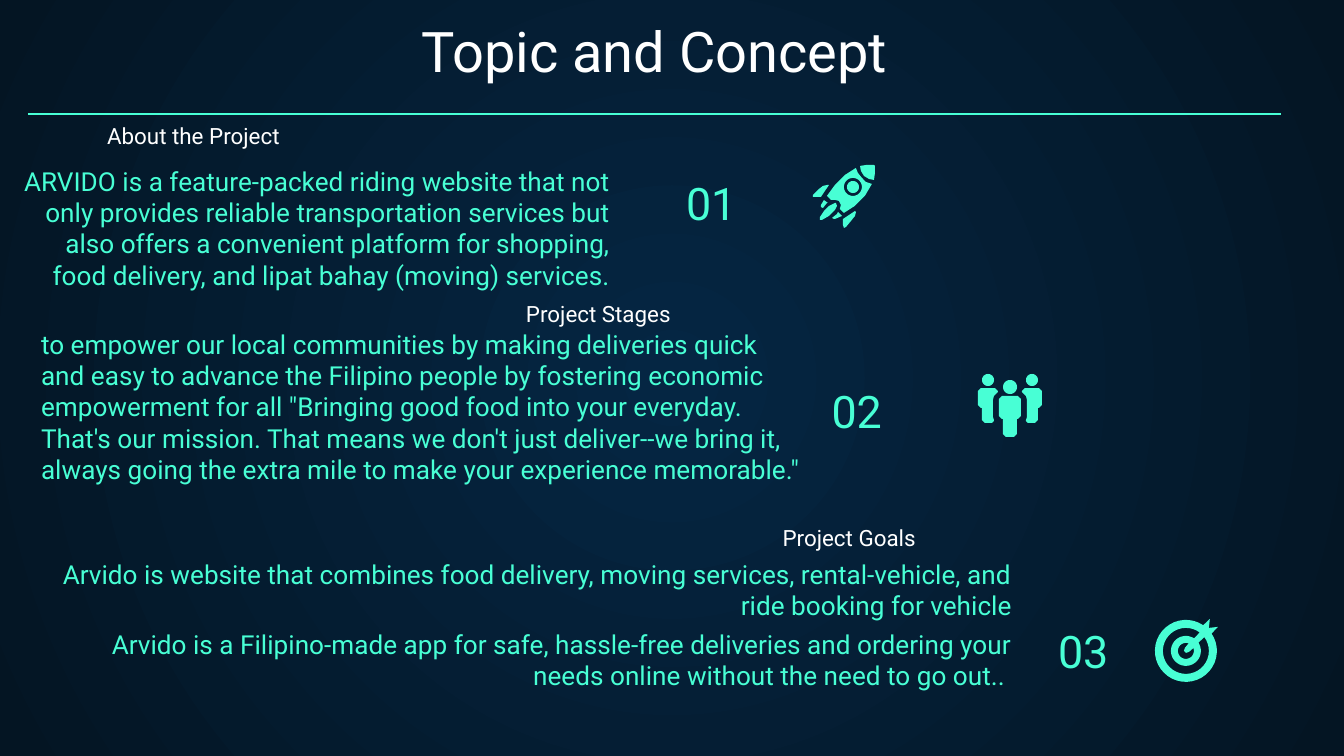
from math import cos, radians, sin

from lxml.etree import SubElement
from pptx import Presentation
from pptx.dml.color import RGBColor
from pptx.enum.shapes import MSO_CONNECTOR
from pptx.enum.text import MSO_ANCHOR, MSO_AUTO_SIZE, PP_ALIGN
from pptx.oxml.ns import qn
from pptx.util import Emu, Pt

PX = 914400 / 134.4  # EMU in one px
COLORS = {"center": "052643", "edge": "041523", "accent": "48FFD5", "white": "FFFFFF"}
FONT = "Roboto"
INSET = 13
ICON_SIZE = 64
LEFT, CENTER, RIGHT = PP_ALIGN.LEFT, PP_ALIGN.CENTER, PP_ALIGN.RIGHT


def px(value):
    return Emu(round(value * PX))


def color(name):
    return RGBColor.from_string(COLORS[name])


# Text
def write_text(shape, box, paragraphs, size, color_name, align,
               anchor=MSO_ANCHOR.BOTTOM, gap=0):
    shape.left, shape.top, shape.width, shape.height = map(px, box)
    frame = shape.text_frame
    frame.word_wrap = True
    frame.auto_size = MSO_AUTO_SIZE.NONE
    frame.vertical_anchor = anchor
    frame.margin_left = frame.margin_right = px(INSET)
    frame.margin_top = frame.margin_bottom = px(INSET)
    for index, text in enumerate(paragraphs):
        paragraph = frame.add_paragraph() if index else frame.paragraphs[0]
        paragraph.alignment = align
        paragraph.line_spacing = 1.0
        paragraph.space_before = Pt(gap if index else 0)
        properties = paragraph._p.get_or_add_pPr()
        properties.set("marL", "0")
        properties.set("indent", "0")
        SubElement(properties, qn("a:buNone"))
        run = paragraph.add_run()
        run.text = text
        run.font.name = FONT
        run.font.size = Pt(size)
        run.font.bold = False
        run.font.color.rgb = color(color_name)


def add_label(slide, box, text, size, color_name, align):
    shape = slide.shapes.add_textbox(0, 0, 0, 0)
    write_text(shape, box, [text], size, color_name, align)


# Icon outlines, in px from the top left corner of the icon
def arc(x, y, radius, start=0, end=360, steps=36):
    angles = [radians(start + (end - start) * step / steps) for step in range(steps + 1)]
    return [(x + radius * cos(angle), y + radius * sin(angle)) for angle in angles]


def mirror(points):
    return [(ICON_SIZE - x, y) for x, y in points]


def rocket_parts():
    nose = [(48, 1), (54, 0), (59, 0), (62, 0), (63, 1), (63, 8), (62, 15),
            (57, 14), (52, 11), (49, 6)]
    body = [(44, 3), (33, 10), (23, 20), (15, 31), (19, 35), (23, 35), (27, 36),
            (29, 40), (28, 44), (32, 48), (43, 41), (53, 31), (60, 19), (54, 17),
            (50, 13), (46, 8)]
    left_fin = [(15, 20), (11, 21), (7, 24), (1, 30), (1, 32), (3, 32), (9, 32), (17, 20)]
    right_fin = [(43, 46), (31, 54), (31, 60), (32, 63), (34, 62), (39, 56), (43, 51), (44, 47)]
    flames = [
        [(12, 35), (9, 40), (9, 42), (11, 43), (15, 38), (16, 38)],
        [(26, 47), (25, 49), (20, 53), (22, 54), (23, 54), (30, 51)],
        [(23, 38), (17, 41), (12, 46), (8, 52), (8, 55), (10, 55), (17, 51),
         (23, 45), (25, 41), (24, 38)],
    ]
    window = arc(41, 22, 6)
    return [[nose], [body, arc(41, 22, 9)], [window], [left_fin], [right_fin],
            *[[flame] for flame in flames]]


def team_parts():
    side_head = arc(10, 7, 6)
    side_body = [(3, 15), (17, 15), (20, 18), (20, 19), (16, 23), (15, 27), (15, 44),
                 (16, 47), (16, 48), (14, 50), (7, 50), (4, 47), (4, 35), (3, 35),
                 (0, 32), (0, 18)]
    half_body = [(32, 23), (24, 23), (21, 26), (21, 43), (24, 46), (25, 46),
                 (25, 61), (28, 64), (32, 64)]
    front_body = half_body + mirror(half_body)[::-1]
    return [[side_head], [side_body], [mirror(side_head)], [mirror(side_body)],
            [front_body], [arc(32, 14, 7)]]


def target_parts():
    x, y = 31, 32
    disc = arc(x, y, 31, -34, 304) + [(55, 0), (54, 9), (63, 8)]
    gap = arc(x, y, 23, -37, 307) + arc(x, y, 15, 303, -33)
    bullseye = arc(x, y, 8, -20, 290) + [(30, 29), (29, 32), (31, 34), (34, 33)]
    return [[disc, gap, bullseye]]


def add_icon(slide, left, top, parts):
    shapes = slide.shapes if len(parts) == 1 else slide.shapes.add_group_shape().shapes
    for contours in parts:
        builder = None
        for contour in contours:
            points = [(px(left + x), px(top + y)) for x, y in contour]
            if builder is None:
                builder = shapes.build_freeform(*points[0])
            else:
                builder.move_to(*points[0])
            builder.add_line_segments(points[1:], close=True)
        shape = builder.convert_to_shape()
        shape.shadow.inherit = False
        shape.fill.solid()
        shape.fill.fore_color.rgb = color("accent")
        shape.line.fill.background()


# Regions
def set_background(slide):
    fill = slide.background.fill
    fill.gradient()
    for stop, name in zip(fill.gradient_stops, ("center", "edge")):
        stop.color.rgb = color(name)
    gradient = slide._element.find(".//" + qn("a:gradFill"))
    gradient.remove(gradient.find(qn("a:lin")))
    path = SubElement(gradient, qn("a:path"), path="circle")
    SubElement(path, qn("a:fillToRect"), l="50000", t="50000", r="50000", b="50000")


def add_header(slide, left, top, width):
    write_text(slide.shapes.title, (left, top, width, 89), ["Topic and Concept"],
               30, "white", CENTER)
    line_top = px(top + 106)
    rule = slide.shapes.add_connector(MSO_CONNECTOR.STRAIGHT, px(left), line_top,
                                      px(left + width), line_top)
    rule.line.color.rgb = color("accent")
    rule.line.width = Pt(0.75)
    SubElement(rule._element.spPr, qn("a:effectLst"))


def add_section(slide, body, section):
    write_text(body, section["body_box"], section["body"], 14, "accent",
               section["body_align"], MSO_ANCHOR.TOP, gap=4)
    add_label(slide, (*section["heading_at"], 305, 28), section["heading"], 12, "white",
              section["heading_align"])
    add_label(slide, (*section["number_at"], 173, 89), section["number"], 24, "accent",
              section["number_align"])
    add_icon(slide, *section["icon_at"], section["icon"])


SECTIONS = [
    dict(heading="About the Project", heading_at=(-12, 134), heading_align=RIGHT,
         number="01", number_at=(673, 153), number_align=LEFT,
         icon=rocket_parts(), icon_at=(812, 165),
         body_box=(1, 152, 622, 74), body_align=RIGHT,
         body=["ARVIDO is a feature-packed riding website that not only provides reliable "
               "transportation services but also offers a convenient platform for shopping, "
               "food delivery, and lipat bahay (moving) services."]),
    dict(heading="Project Stages", heading_at=(513, 312), heading_align=LEFT,
         number="02", number_at=(722, 362), number_align=RIGHT,
         icon=team_parts(), icon_at=(978, 373),
         body_box=(28, 315, 790, 207), body_align=LEFT,
         body=["to empower our local communities by making deliveries quick and easy to "
               "advance the Filipino people by fostering economic empowerment for all "
               "\"Bringing good food into your everyday. That's our mission. That means we "
               "don't just deliver--we bring it, always going the extra mile to make your "
               "experience memorable.\""]),
    dict(heading="Project Goals", heading_at=(624, 536), heading_align=RIGHT,
         number="03", number_at=(1045, 602), number_align=LEFT,
         icon=target_parts(), icon_at=(1155, 619),
         body_box=(28, 545, 997, 165), body_align=RIGHT,
         body=["Arvido is website that combines food delivery, moving services, "
               "rental-vehicle, and ride booking for vehicle",
               "Arvido is a Filipino-made app for safe, hassle-free deliveries and ordering "
               "your needs online without the need to go out.. "]),
]


def main():
    presentation = Presentation()
    presentation.slide_width, presentation.slide_height = px(1344), px(756)
    slide = presentation.slides.add_slide(presentation.slide_layouts[4])
    set_background(slide)
    add_header(slide, 28, 8, 1253)
    bodies = list(slide.placeholders)[1:]
    for body, section in zip(bodies, SECTIONS):
        add_section(slide, body, section)
    for spare in bodies[len(SECTIONS):]:
        spare._element.getparent().remove(spare._element)
    presentation.save("out.pptx")


if __name__ == "__main__":
    main()
